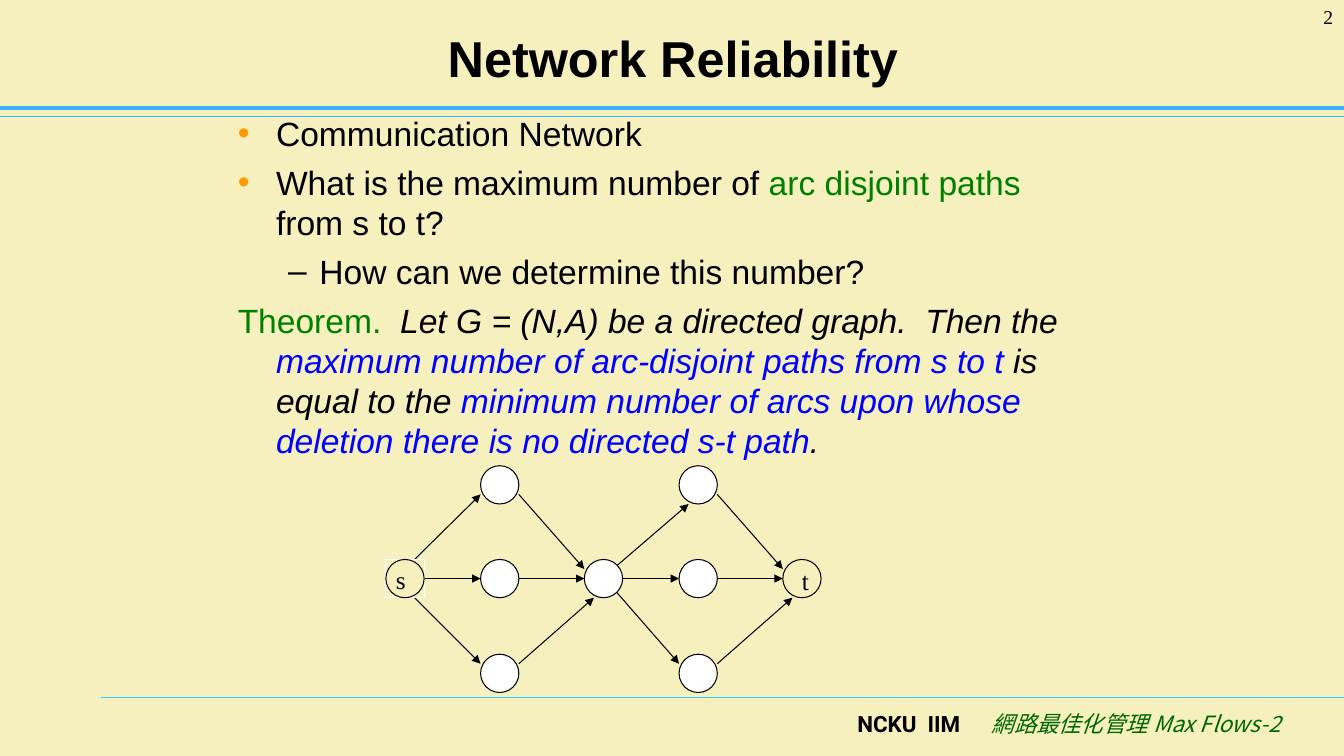
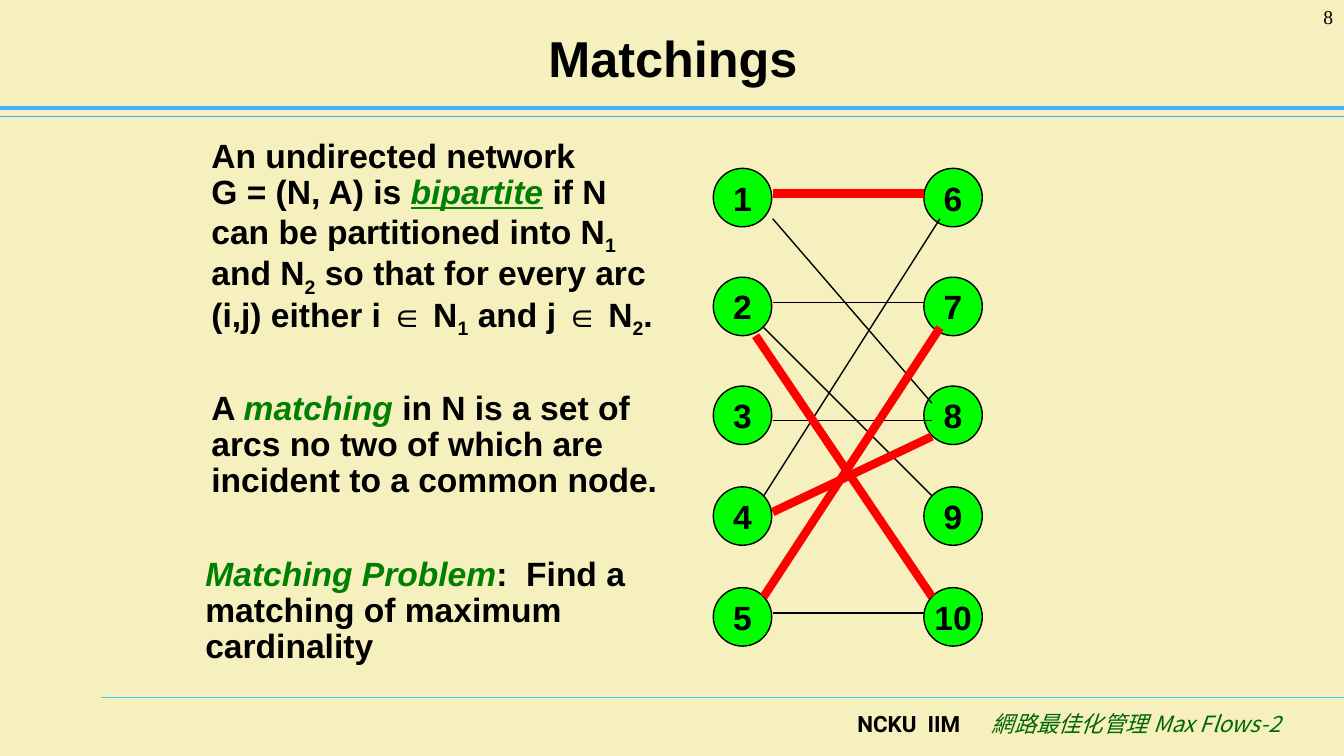
from lxml.etree import SubElement
from pptx import Presentation
from pptx.dml.color import RGBColor
from pptx.enum.shapes import MSO_CONNECTOR, MSO_SHAPE
from pptx.enum.text import MSO_ANCHOR, MSO_AUTO_SIZE, PP_ALIGN
from pptx.oxml.ns import qn
from pptx.util import Inches, Pt

color = RGBColor.from_string
BLACK, WHITE, RED = "000000", "FFFFFF", "FF0000"
GREEN, BLUE = "008000", "0000FF"
BODY = {"name": "Arial", "size": Pt(24)}
BOLD = {**BODY, "bold": True}
NUMBER = {"name": "Times New Roman", "size": Pt(14)}
LABEL = {"name": "Times New Roman", "size": Pt(18)}
UNIVERSITY = {"name": "Roboto", "size": Pt(16), "bold": True}
COURSE = {"name": "Noto Sans CJK SC", "size": Pt(16), "italic": True}


def write_runs(paragraph, runs, base):
    """Each run is (text, colour, extra format values)."""
    for text, run_color, extra in runs:
        run = paragraph.add_run()
        run.text = text
        values = {**base, **extra}
        baseline = values.pop("baseline", None)
        for name, value in values.items():
            setattr(run.font, name, value)
        run.font.color.rgb = color(run_color)
        properties = run.font._element
        if baseline:
            properties.set("baseline", baseline)
        if base is COURSE:
            east_asian = properties.makeelement(qn("a:ea"), {"typeface": base["name"]})
            properties.find(qn("a:latin")).addnext(east_asian)


def draw_line(slide, start, end, line_color, width, arrow=False):
    points = [Inches(value) for value in (*start, *end)]
    connector = slide.shapes.add_connector(MSO_CONNECTOR.STRAIGHT, *points)
    connector.line.color.rgb = color(line_color)
    connector.line.width = Pt(width)
    if arrow:
        SubElement(connector.line._get_or_add_ln(), qn("a:tailEnd"), type="triangle")
    SubElement(connector.element.spPr, qn("a:effectLst"))
    return connector


# Master: background and title style
presentation = Presentation()
presentation.slide_width, presentation.slide_height = Inches(13.34), Inches(7.5)
master = presentation.slide_master
master.background.fill.solid()
master.background.fill.fore_color.rgb = color("F5F0BD")
master_title = master.placeholders[0]
master_title.left, master_title.top = Inches(0.68), Inches(0.13)
master_title.width, master_title.height = Inches(12), Inches(0.87)
title_font = next(master.element.iter(qn("p:titleStyle"))).find(".//" + qn("a:defRPr"))
title_font.set("sz", "3600")
title_font.set("b", "1")
title_font.find(qn("a:latin")).set("typeface", "Arial")

# Slides and titles
layouts = presentation.slide_layouts
reliability = presentation.slides.add_slide(layouts.get_by_name("Title and Content"))
matchings = presentation.slides.add_slide(layouts.get_by_name("Title Only"))
reliability.shapes.title.text = "Network Reliability"
matchings.shapes.title.text = "Matchings"

# Rules under the title and above the footer
shared = [
    draw_line(reliability, (left, top), (13.34, top), line_color, width)
    for left, top, line_color, width in (
        (1, 6.92, "33CCFF", 0.75), (0, 1.16, "3DB0FF", 0.75), (0, 1.07, "3DB0FF", 2.5))
]

# Reliability: list and theorem
body = reliability.placeholders[1]
body.left, body.top = Inches(2.26), Inches(1.07)
body.width, body.height = Inches(8.45), Inches(5.58)
body.text_frame.auto_size = MSO_AUTO_SIZE.NONE
italic = {"italic": True}
body_items = [
    (0, "FF9900", [("Communication Network", BLACK, {})]),
    (0, "FF9900", [("What is the maximum number of ", BLACK, {}),
                   ("arc disjoint paths", GREEN, {}),
                   (" from s to t?", BLACK, {})]),
    (1, BLACK, [("How can we determine this number?", BLACK, {})]),
    (0, None, [("Theorem.  ", GREEN, {}),
               ("Let G = (N,A) be a directed graph.  Then the ", BLACK, italic),
               ("maximum number of arc-disjoint paths from s to t", BLUE, italic),
               (" is equal to the ", BLACK, italic),
               ("minimum number of arcs upon whose deletion there is no directed s-t path",
                BLUE, italic),
               (".", BLACK, italic)]),
]
for index, (level, bullet_color, runs) in enumerate(body_items):
    frame = body.text_frame
    paragraph = frame.add_paragraph() if index else frame.paragraphs[0]
    paragraph.level = level
    paragraph.space_before = Pt(6 if index else 0)
    margin, indent = ((0.38, -0.38), (0.81, -0.31))[level]
    properties = paragraph._p.get_or_add_pPr()
    properties.set("marL", str(Inches(margin)))
    properties.set("indent", str(Inches(indent)))
    if bullet_color:
        bullet = SubElement(properties, qn("a:buClr"))
        SubElement(bullet, qn("a:srgbClr"), val=bullet_color)
        SubElement(properties, qn("a:buChar"), char="•–"[level])
    else:
        SubElement(properties, qn("a:buNone"))
    write_runs(paragraph, runs, BODY)

# Reliability: arcs, with ends given as fractions of the node box
NODE = 0.38
columns = (3.83, 4.77, 5.8, 6.74, 7.77)
rows = (4.62, 5.55, 6.49)
arcs = [((column, 1), (1, 0.5), (column + 1, 1), (0, 0.5)) for column in range(4)]
for hub in (0, 2):
    leave_x = 0.75
    leave_up, leave_down = ((0, 1), (0.25, 0.75))[hub // 2]
    enter_up = ((0, 0.75), (0.25, 1))[hub // 2]
    arcs += [
        ((hub, 1), (leave_x, leave_up), (hub + 1, 0), enter_up),
        ((hub, 1), (leave_x, leave_down), (hub + 1, 2), (0, 0.25)),
        ((hub + 1, 0), (1, 0.75), (hub + 2, 1), (0, 0.25)),
        ((hub + 1, 2), (1, 0.25), (hub + 2, 1), (0.25, 1)),
    ]
for tail, tail_offset, head, head_offset in arcs:
    start, end = (
        (columns[column] + NODE * x, rows[row] + NODE * y)
        for (column, row), (x, y) in ((tail, tail_offset), (head, head_offset)))
    draw_line(reliability, start, end, BLACK, 0.75, arrow=True)

# Nodes of both graphs: slide, shape, left, top, size, fill, line, width, text
OVAL = MSO_SHAPE.OVAL
nodes = [(reliability, MSO_SHAPE.RECTANGLE, columns[0], rows[1], NODE, None, WHITE, 0.75, "")]
for column, left in enumerate(columns):
    for top in rows if column % 2 else rows[1:2]:
        fill = None if column in (0, 4) else WHITE
        nodes.append((reliability, OVAL, left, top, NODE, fill, BLACK, 0.75, ""))
match_tops = (1.67, 2.75, 3.83, 4.83, 5.83)
for side, left in enumerate((7.08, 9.17)):
    for row, top in enumerate(match_tops, 1):
        nodes.append((matchings, OVAL, left, top, 0.58, "00FF00", BLACK, 1,
                      str(5 * side + row)))
for slide, kind, left, top, size, fill, line_color, width, text in nodes:
    shape = slide.shapes.add_shape(
        kind, Inches(left), Inches(top), Inches(size), Inches(size))
    shape.shadow.inherit = False
    if fill:
        shape.fill.solid()
        shape.fill.fore_color.rgb = color(fill)
    else:
        shape.fill.background()
    shape.line.color.rgb = color(line_color)
    shape.line.width = Pt(width)
    if text:
        shape.text_frame.word_wrap = False
        shape.text_frame.vertical_anchor = MSO_ANCHOR.MIDDLE
        paragraph = shape.text_frame.paragraphs[0]
        paragraph.alignment = PP_ALIGN.CENTER
        write_runs(paragraph, [(text, BLACK, {})], BOLD)

# Matchings: plain arcs, then the matched ones
plain_arcs = [
    ((7.67, 3), (9.17, 3)), ((7.58, 3.25), (9.25, 4.92)), ((7.67, 6.08), (9.17, 6.08)),
    ((7.67, 2.17), (9.25, 4)), ((7.67, 4.17), (9.25, 4.17)), ((7.58, 4.92), (9.33, 2.17)),
]
matched_arcs = [
    ((7.5, 3.33), (9.25, 5.92)), ((7.58, 5.92), (9.33, 3.25)),
    ((7.67, 1.92), (9.17, 1.92)), ((7.67, 5.08), (9.25, 4.33)),
]
for group, line_color, width in ((plain_arcs, BLACK, 1), (matched_arcs, RED, 6)):
    for start, end in group:
        draw_line(matchings, start, end, line_color, width)

# Text boxes: slide, position and size, alignment, line spacing, format, runs
LEFT, RIGHT = PP_ALIGN.LEFT, PP_ALIGN.RIGHT
sub = {"baseline": "-25000"}
page_box = (12.22, 0, 1.11, 0.5)
text_boxes = [
    (reliability, (7.63, 7, 2, 0.5), RIGHT, 1, UNIVERSITY, [("NCKU  IIM", BLACK, {})]),
    (reliability, (9.63, 7, 3.18, 0.5), RIGHT, 1, COURSE,
     [("網路最佳化管理 Max Flows-2", "006600", {})]),
    (reliability, page_box, RIGHT, 1, NUMBER, [("2", BLACK, {})]),
    (matchings, page_box, RIGHT, 1, NUMBER, [("8", BLACK, {})]),
    (reliability, (3.83, 5.55, 0.38, 0.4), LEFT, 1, LABEL, [("s", BLACK, {})]),
    (reliability, (7.86, 5.56, 0.38, 0.4), LEFT, 1, LABEL, [("t", BLACK, {})]),
    (matchings, (2, 1.33, 4.67, 2.05), LEFT, 0.9, BOLD, [
        ("An undirected network\vG = (N, A) is ", BLACK, {}),
        ("bipartite", GREEN, {"italic": True, "underline": True}),
        (" if N can be partitioned into N", BLACK, {}), ("1", BLACK, sub),
        (" and N", BLACK, {}), ("2", BLACK, sub),
        (" so that for every arc (i,j) either i ∈ N", BLACK, {}), ("1", BLACK, sub),
        (" and j ∈ N", BLACK, {}), ("2", BLACK, sub), (".", BLACK, {})]),
    (matchings, (2, 3.83, 4.67, 1.18), LEFT, 0.9, BOLD, [
        ("A ", BLACK, {}), ("matching", GREEN, italic),
        (" in N is a set of arcs no two of which are incident to a common node.",
         BLACK, {})]),
    (matchings, (1.94, 5.48, 4.43, 1.18), LEFT, 0.9, BOLD, [
        ("Matching Problem", GREEN, italic),
        (":  Find a matching of maximum cardinality", BLACK, {})]),
]
boxes = []
for slide, position, alignment, spacing, base, runs in text_boxes:
    box = slide.shapes.add_textbox(*[Inches(value) for value in position])
    box.text_frame.word_wrap = True
    paragraph = box.text_frame.paragraphs[0]
    paragraph.alignment = alignment
    paragraph.line_spacing = spacing
    # A line break inside a run becomes a break of the paragraph
    first_text, first_color, first_extra = runs[0]
    *upper_lines, last_line = first_text.split("\v")
    for line in upper_lines:
        write_runs(paragraph, [(line, first_color, first_extra)], base)
        paragraph.add_line_break()
    write_runs(paragraph, [(last_line, first_color, first_extra), *runs[1:]], base)
    boxes.append(box)

# The rules and the two footer texts belong to the master
for number, shape in enumerate(shared + boxes[:2], 100):
    shape.element.xpath(".//p:cNvPr")[0].set("id", str(number))
    master.shapes.element.append(shape.element)

presentation.save("out.pptx")
